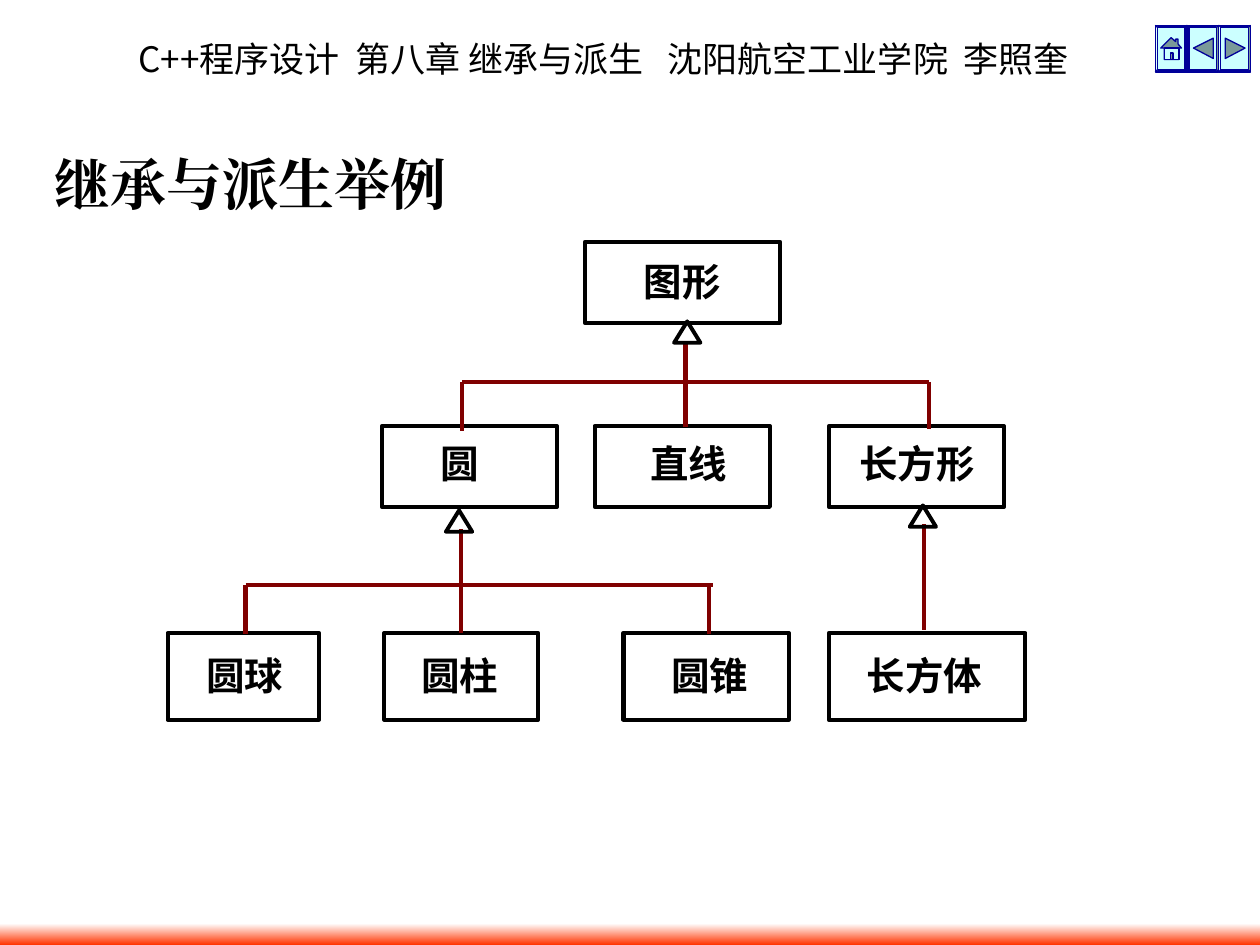
import pptx
import pptx.dml.color
import pptx.enum.shapes
import pptx.enum.text
import pptx.oxml.ns
import pptx.util
from lxml import etree

Cm = pptx.util.Cm
Pt = pptx.util.Pt
RGBColor = pptx.dml.color.RGBColor
MSO_SHAPE = pptx.enum.shapes.MSO_SHAPE

BLACK = RGBColor(0x00, 0x00, 0x00)
MAROON = RGBColor(0x80, 0x00, 0x00)
WHITE = RGBColor(0xFF, 0xFF, 0xFF)
ORANGE = RGBColor(0xFF, 0x33, 0x00)
NAVY = RGBColor(0x00, 0x00, 0x99)
PALE_CYAN = RGBColor(0xCC, 0xFF, 0xFF)
GREY_CYAN = RGBColor(0x7A, 0x99, 0x99)

SANS_SC = "Noto Sans CJK SC"
SANS_JP = "Noto Sans CJK JP"
LABEL_SIZE = 22
LABEL_HEIGHT = 0.94
CHARACTER_WIDTH = 0.78
TREE_LINE = 2.38

# Class name, label font, label centre, box left and box width, by row
ROWS = [
    # box top, box height, label offset, classes
    (4.88, 1.63, 0.33, [("图形", SANS_SC, 13.75, 11.79, 3.94)]),
    (8.59, 1.63, 0.28, [("圆", SANS_SC, 9.26, 7.7, 3.53),
                        ("直线", SANS_SC, 13.88, 11.99, 3.53),
                        ("长方形", SANS_SC, 18.49, 16.71, 3.53)]),
    (12.76, 1.75, 0.38, [("圆球", "Arial", 4.94, 3.38, 3.05),
                         ("圆柱", "Arial", 9.27, 7.75, 3.1),
                         ("圆锥", "Arial", 14.31, 12.57, 3.33),
                         ("长方体", "Arial", 18.64, 16.71, 3.96)]),
]
BRANCHES = [
    # x1, y1, x2, y2
    (13.82, 6.88, 13.82, 8.61),
    (9.32, 7.7, 18.72, 7.7),
    (9.32, 7.7, 9.32, 8.69),
    (18.72, 7.7, 18.72, 8.64),
    (4.95, 11.79, 14.38, 11.79),
    (4.95, 11.79, 4.95, 12.78),
    (14.3, 11.79, 14.3, 12.78),
    (18.62, 10.57, 18.62, 12.7),
]
ARROWHEADS = [(13.59, 6.48), (8.99, 10.29), (18.34, 10.19)]

BUTTON_TOP, BUTTON_WIDTH, BUTTON_HEIGHT = 0.51, 0.64, 0.94
HOUSE = [(0.32, 0.25), (0.41, 0.33), (0.41, 0.28), (0.46, 0.28), (0.46, 0.38),
         (0.53, 0.46), (0.48, 0.46), (0.48, 0.69), (0.18, 0.69), (0.18, 0.46),
         (0.11, 0.46)]
HOUSE_WALLS = [(0.18, 0.46), (0.48, 0.46), (0.48, 0.69), (0.36, 0.69),
               (0.36, 0.56), (0.3, 0.56), (0.3, 0.69), (0.18, 0.69)]
BACK = [(0.13, 0.46), (0.53, 0.26), (0.53, 0.67)]
FORWARD = [(0.13, 0.26), (0.53, 0.46), (0.13, 0.67)]


def style_font(font, name):
    """Use one typeface for Latin and East Asian characters."""
    font.name = name
    east_asian = etree.SubElement(font._rPr, pptx.oxml.ns.qn("a:ea"))
    east_asian.set("typeface", name)


def style_outline(shape, color, width, fill=None):
    shape.shadow.inherit = False
    shape.line.color.rgb = color
    shape.line.width = Pt(width)
    if fill is None:
        shape.fill.background()
    else:
        shape.fill.solid()
        shape.fill.fore_color.rgb = fill


def add_shape(slide, preset, left, top, width, height):
    return slide.shapes.add_shape(preset, Cm(left), Cm(top), Cm(width), Cm(height))


def add_text_frame(slide, left, top, width, height, wrap=True):
    box = slide.shapes.add_textbox(Cm(left), Cm(top), Cm(width), Cm(height))
    box.text_frame.word_wrap = wrap
    return box.text_frame


def add_header(slide):
    paragraph = add_text_frame(slide, 2.54, 0.64, 20.96, 1.12).paragraphs[0]
    paragraph.font.size = Pt(20)
    paragraph.font.color.rgb = BLACK
    for words, font_name in [("C++程序设计 ", SANS_JP),
                             (" 第八章 继承与派生   ", SANS_SC),
                             ("沈阳航空工业学院  ", SANS_JP),
                             ("李照奎", SANS_SC)]:
        run = paragraph.add_run()
        run.text = words
        style_font(run.font, font_name)


def add_title(slide):
    frame = add_text_frame(slide, 0.84, 2.74, 11, 1.9)
    frame.vertical_anchor = pptx.enum.text.MSO_ANCHOR.MIDDLE
    write_bold(frame, "继承与派生举例", "Times New Roman", 32)


def write_bold(frame, words, font_name, size):
    paragraph = frame.paragraphs[0]
    paragraph.text = words
    paragraph.font.size = Pt(size)
    paragraph.font.bold = True
    paragraph.font.color.rgb = BLACK
    style_font(paragraph.font, font_name)
    return paragraph


def add_footer_band(slide):
    band = add_shape(slide, MSO_SHAPE.RECTANGLE, 0, 18.62, 25.4, 0.43)
    band.shadow.inherit = False
    band.line.fill.background()
    band.fill.gradient()
    band.fill.gradient_angle = 270
    for stop, color in zip(band.fill.gradient_stops, (WHITE, ORANGE)):
        stop.color.rgb = color


def add_button(slide, left, icon_parts):
    button = add_shape(slide, MSO_SHAPE.BEVEL, left, BUTTON_TOP,
                       BUTTON_WIDTH, BUTTON_HEIGHT)
    button.adjustments[0] = 0.06
    style_outline(button, NAVY, 0.75, PALE_CYAN)
    for outline, fill in icon_parts:
        points = [(Cm(left + x), Cm(BUTTON_TOP + y)) for x, y in outline]
        builder = slide.shapes.build_freeform(*points[0])
        builder.add_line_segments(points[1:], close=True)
        style_outline(builder.convert_to_shape(), NAVY, 0.75, fill)


def add_class(slide, name, font_name, center, left, top, width, height, offset):
    """Add a class box with its label and return the box."""
    box = add_shape(slide, MSO_SHAPE.RECTANGLE, left, top, width, height)
    style_outline(box, BLACK, TREE_LINE)
    label_width = len(name) * CHARACTER_WIDTH
    frame = add_text_frame(slide, center - label_width / 2, top + offset,
                           label_width, LABEL_HEIGHT, wrap=False)
    frame.margin_left = frame.margin_right = 0
    frame.margin_top = frame.margin_bottom = 0
    label = write_bold(frame, name, font_name, LABEL_SIZE)
    label.alignment = pptx.enum.text.PP_ALIGN.CENTER
    return box


def add_branch(slide, x1, y1, x2, y2):
    branch = slide.shapes.add_connector(pptx.enum.shapes.MSO_CONNECTOR.STRAIGHT,
                                        Cm(x1), Cm(y1), Cm(x2), Cm(y2))
    branch.line.color.rgb = MAROON
    branch.line.width = Pt(TREE_LINE)
    etree.SubElement(branch._element.spPr, pptx.oxml.ns.qn("a:effectLst"))
    return branch


def add_class_tree(slide):
    boxes = {}
    for top, height, offset, classes in ROWS:
        for name, font_name, center, left, width in classes:
            boxes[name] = add_class(slide, name, font_name, center,
                                    left, top, width, height, offset)
    for ends in BRANCHES:
        add_branch(slide, *ends)
    cylinder_stem = add_branch(slide, 9.3, 10.67, 9.3, 12.76)
    cylinder_stem.end_connect(boxes["圆柱"], 0)
    for left, top in ARROWHEADS:
        arrowhead = add_shape(slide, MSO_SHAPE.ISOSCELES_TRIANGLE,
                              left, top, 0.53, 0.43)
        style_outline(arrowhead, BLACK, 2.25)


def main():
    presentation = pptx.Presentation()
    presentation.slide_width = Cm(25.4)
    presentation.slide_height = Cm(19.05)
    slide = presentation.slides.add_slide(presentation.slide_layouts[6])
    add_header(slide)
    add_footer_band(slide)
    icons = [[(HOUSE, GREY_CYAN), (HOUSE_WALLS, PALE_CYAN)],
             [(BACK, GREY_CYAN)], [(FORWARD, GREY_CYAN)]]
    for index, icon_parts in enumerate(icons):
        add_button(slide, 23.29 + index * BUTTON_WIDTH, icon_parts)
    add_class_tree(slide)
    add_title(slide)
    presentation.save("out.pptx")


if __name__ == "__main__":
    main()
